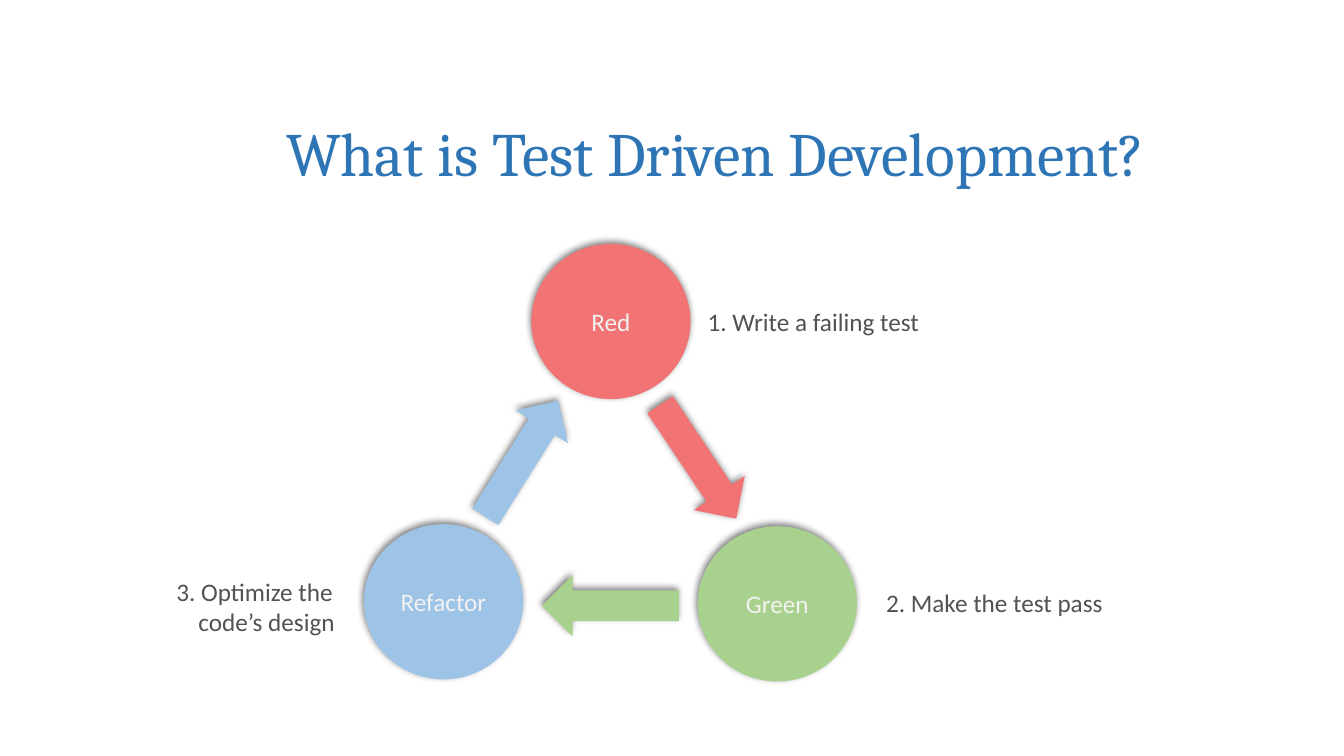
import pptx
import pptx.dml.color
import pptx.enum.shapes
import pptx.enum.text
import pptx.oxml
import pptx.oxml.ns
import pptx.util

SLIDE_WIDTH = pptx.util.Inches(13.33)
SLIDE_HEIGHT = pptx.util.Inches(7.5)
COLORS = {
    "red": "F17373",
    "green": "A9D18E",
    "blue": "9DC3E6",
    "title": "2E75B6",
    "step": "F2F2F2",
    "label": "525252",
    "shadow": "000000",
}
# Sizes and positions are percentages of the slide's width and height.
CIRCLE_SIZE = (11.85, 20.53)
ARROW_SIZE = (4.58, 18.13)
STEPS = [  # name, colour, centre
    ("Red", "red", (45.46, 42.53)),
    ("Green", "green", (57.84, 79.87)),
    ("Refactor", "blue", (33, 79.6)),
]
ARROWS = [  # colour, centre, rotation
    ("red", (51.95, 61.07), 326.2),
    ("green", (45.42, 80.13), 90),
    ("blue", (38.82, 60.67), 212.1),
]
LABELS = [  # lines, left, middle, width, height
    (["1. Write a failing test"], 51.91, 42.53, 17.4, 5.33),
    (["2. Make the test pass"], 65.19, 79.73, 17.78, 5.33),
    (["3. Optimize the", "code’s design"], 12.38, 80.2, 14.1, 9.47),
]


def across(percent):
    return round(SLIDE_WIDTH * percent / 100)


def down(percent):
    return round(SLIDE_HEIGHT * percent / 100)


def box_around(center, size):
    """Return left, top, width and height for a centre and size in percent."""
    return (across(center[0] - size[0] / 2), down(center[1] - size[1] / 2),
            across(size[0]), down(size[1]))


def add_run(paragraph, text, size, font, color):
    run = paragraph.add_run()
    run.text = text
    run.font.size = pptx.util.Pt(size)
    run.font.name = font
    run.font.color.rgb = pptx.dml.color.RGBColor.from_string(COLORS[color])


def add_soft_shadow(shape):
    shape.shadow.inherit = False
    effects = shape._element.spPr.find(pptx.oxml.ns.qn("a:effectLst"))
    effects.append(pptx.oxml.parse_xml(
        f'<a:outerShdw {pptx.oxml.ns.nsdecls("a")} blurRad="{pptx.util.Pt(5)}" '
        f'dist="{pptx.util.Pt(2)}" dir="{245 * 60000}" algn="ctr" rotWithShape="0">'
        f'<a:srgbClr val="{COLORS["shadow"]}"><a:alpha val="50000"/></a:srgbClr>'
        '</a:outerShdw>'))


def add_filled_shape(slide, kind, center, size, color):
    shape = slide.shapes.add_shape(kind, *box_around(center, size))
    shape.fill.solid()
    shape.fill.fore_color.rgb = pptx.dml.color.RGBColor.from_string(COLORS[color])
    shape.line.fill.background()
    add_soft_shadow(shape)
    return shape


def add_step(slide, name, color, center):
    circle = add_filled_shape(
        slide, pptx.enum.shapes.MSO_SHAPE.OVAL, center, CIRCLE_SIZE, color)
    circle.text_frame.vertical_anchor = pptx.enum.text.MSO_ANCHOR.MIDDLE
    paragraph = circle.text_frame.paragraphs[0]
    paragraph.alignment = pptx.enum.text.PP_ALIGN.CENTER
    add_run(paragraph, name, 18, "Calibri", "step")


def add_arrow(slide, color, center, rotation):
    arrow = add_filled_shape(
        slide, pptx.enum.shapes.MSO_SHAPE.DOWN_ARROW, center, ARROW_SIZE, color)
    arrow.rotation = rotation


def add_label(slide, lines, left, middle, width, height):
    """Add a label whose later lines hang under the text after the number."""
    label = slide.shapes.add_textbox(
        *box_around((left + width / 2, middle), (width, height)))
    frame = label.text_frame
    frame.word_wrap = False
    frame.auto_size = pptx.enum.text.MSO_AUTO_SIZE.SHAPE_TO_FIT_TEXT
    frame.vertical_anchor = pptx.enum.text.MSO_ANCHOR.MIDDLE
    paragraph = frame.paragraphs[0]
    if len(lines) > 1:
        indent = pptx.util.Inches(0.22)
        properties = paragraph._p.get_or_add_pPr()
        properties.set("marL", str(indent))
        properties.set("indent", str(-indent))
    for number, line in enumerate(lines):
        if number:
            paragraph.add_line_break()
        add_run(paragraph, line, 18, "Calibri", "label")


def set_title(slide, text):
    title = slide.shapes.title
    title.left, title.top = across(16.2), down(10.4)
    title.width, title.height = across(74.12), down(19.33)
    frame = title.text_frame
    frame.auto_size = pptx.enum.text.MSO_AUTO_SIZE.NONE
    frame.vertical_anchor = pptx.enum.text.MSO_ANCHOR.MIDDLE
    paragraph = frame.paragraphs[0]
    paragraph.alignment = pptx.enum.text.PP_ALIGN.CENTER
    add_run(paragraph, text, 44, "Cambria", "title")


def main():
    presentation = pptx.Presentation()
    presentation.slide_width = SLIDE_WIDTH
    presentation.slide_height = SLIDE_HEIGHT
    slide = presentation.slides.add_slide(presentation.slide_layouts[5])
    set_title(slide, "What is Test Driven Development?")
    for arrow in ARROWS:
        add_arrow(slide, *arrow)
    for step in STEPS:
        add_step(slide, *step)
    for label in LABELS:
        add_label(slide, *label)
    presentation.save("out.pptx")


if __name__ == "__main__":
    main()
